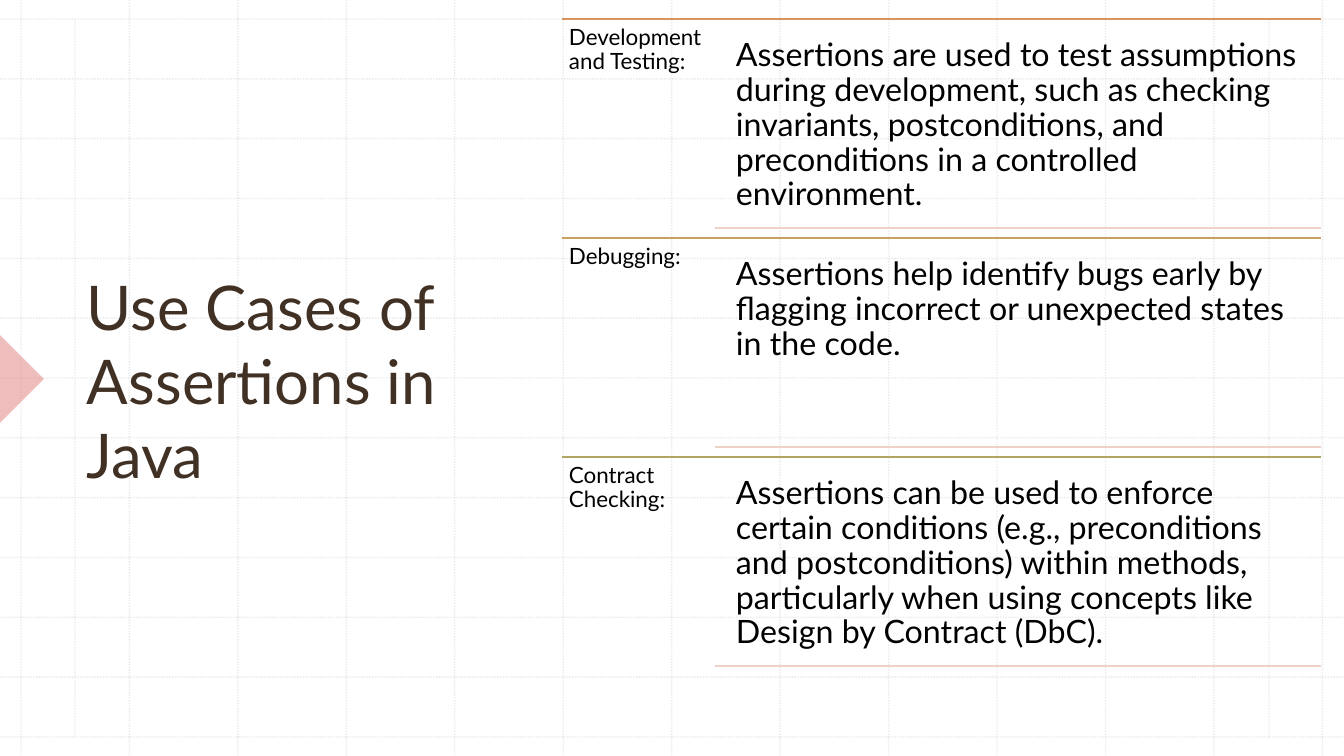
from lxml import etree
from pptx import Presentation
from pptx.dml.color import RGBColor
from pptx.enum.dml import MSO_LINE
from pptx.enum.shapes import MSO_CONNECTOR, MSO_SHAPE
from pptx.enum.text import MSO_ANCHOR
from pptx.oxml.ns import qn
from pptx.util import Pt

STRAIGHT = MSO_CONNECTOR.STRAIGHT
DOTTED = MSO_LINE.ROUND_DOT
TRIANGLE = MSO_SHAPE.RIGHT_TRIANGLE
TOP, MIDDLE = MSO_ANCHOR.TOP, MSO_ANCHOR.MIDDLE

GRID_GREY = RGBColor(0xBC, 0xBC, 0xBC)
MARKER_PINK = RGBColor(0xE1, 0x7C, 0x7B)
TITLE_BROWN = RGBColor(0x41, 0x30, 0x24)
BLACK = RGBColor(0x00, 0x00, 0x00)
DIVIDER = RGBColor(0xEE, 0xD2, 0xC5)
ORANGE = RGBColor(0xDB, 0x93, 0x5E)
GOLD = RGBColor(0xC8, 0xA1, 0x5E)
OLIVE = RGBColor(0xB2, 0xA5, 0x61)

WIDTH, HEIGHT = 1344, 756
PX = 12192000 / WIDTH

USE_CASES = [
    ("Development and Testing:",
     "Assertions are used to test assumptions during development, such as checking "
     "invariants, postconditions, and preconditions in a controlled environment.",
     ORANGE),
    ("Debugging:",
     "Assertions help identify bugs early by flagging incorrect or unexpected states "
     "in the code.",
     GOLD),
    ("Contract Checking:",
     "Assertions can be used to enforce certain conditions (e.g., preconditions and "
     "postconditions) within methods, particularly when using concepts like Design by "
     "Contract (DbC).",
     OLIVE),
]

prs = Presentation()
prs.slide_width, prs.slide_height = round(WIDTH * PX), round(HEIGHT * PX)
slide = prs.slides.add_slide(prs.slide_layouts[6])


def add_rule(x1, y1, x2, y2, color):
    ends = [round(v * PX) for v in (x1, y1, x2, y2)]
    rule = slide.shapes.add_connector(STRAIGHT, *ends)
    rule.line.color.rgb = color
    rule.line.width = Pt(1)
    etree.SubElement(rule._element.spPr, qn("a:effectLst"))
    return rule


def add_text(box, text, size, color, inset, anchor=TOP, spacing=1.0):
    """Add a wrapped text box; box is left, top, width, height and inset is (x, y)."""
    frame = slide.shapes.add_textbox(*[round(v * PX) for v in box]).text_frame
    frame.word_wrap = True
    frame.vertical_anchor = anchor
    frame.margin_left = frame.margin_right = round(inset[0] * PX)
    frame.margin_top = frame.margin_bottom = round(inset[1] * PX)
    frame.text = text
    paragraph = frame.paragraphs[0]
    paragraph.line_spacing = spacing
    font = paragraph.runs[0].font
    font.name, font.size, font.color.rgb = "Lato", Pt(size), color


# Background grid with two inner margin lines
columns = [21 + 108.45 * i for i in range(13)]
rows = [19 + 59.83 * i for i in range(13)]
grid = [(x, 0, x, HEIGHT) for x in columns]
grid += [(0, y, WIDTH, y) for y in rows]
grid += [(x, 19, x, 737) for x in (75, 1269)]
for ends in grid:
    grid_line = add_rule(*ends, GRID_GREY)
    grid_line.line.dash_style = DOTTED
    grid_color = grid_line.line._ln.find(".//" + qn("a:srgbClr"))
    etree.SubElement(grid_color, qn("a:alpha"), val="30000")

# Title with its marker on the left edge
marker = slide.shapes.add_shape(TRIANGLE, *[round(v * PX) for v in (-31, 348, 62, 62)])
marker.rotation = 225
marker.shadow.inherit = False
marker.line.fill.background()
marker.fill.solid()
marker.fill.fore_color.rgb = MARKER_PINK
marker_color = marker._element.spPr.find(".//" + qn("a:srgbClr"))
etree.SubElement(marker_color, qn("a:alpha"), val="50000")

add_text((77, 80, 378, 600), "Use Cases of Assertions in Java", 44, TITLE_BROWN,
         (10, 5), MIDDLE)

# Use cases: label on the left, description on the right
ROW_PITCH = 219
for i, (label, description, accent) in enumerate(USE_CASES):
    top = 19 + ROW_PITCH * i
    add_rule(562, top, 1321, top, accent)
    add_text((562, top, 151, ROW_PITCH), label, 16, BLACK, (7, 7), spacing=0.9)
    add_text((726, top + 10, 596, 199), description, 23, BLACK, (10, 10), spacing=0.9)
    add_rule(715, top + 209, 1321, top + 209, DIVIDER)

prs.save("out.pptx")
